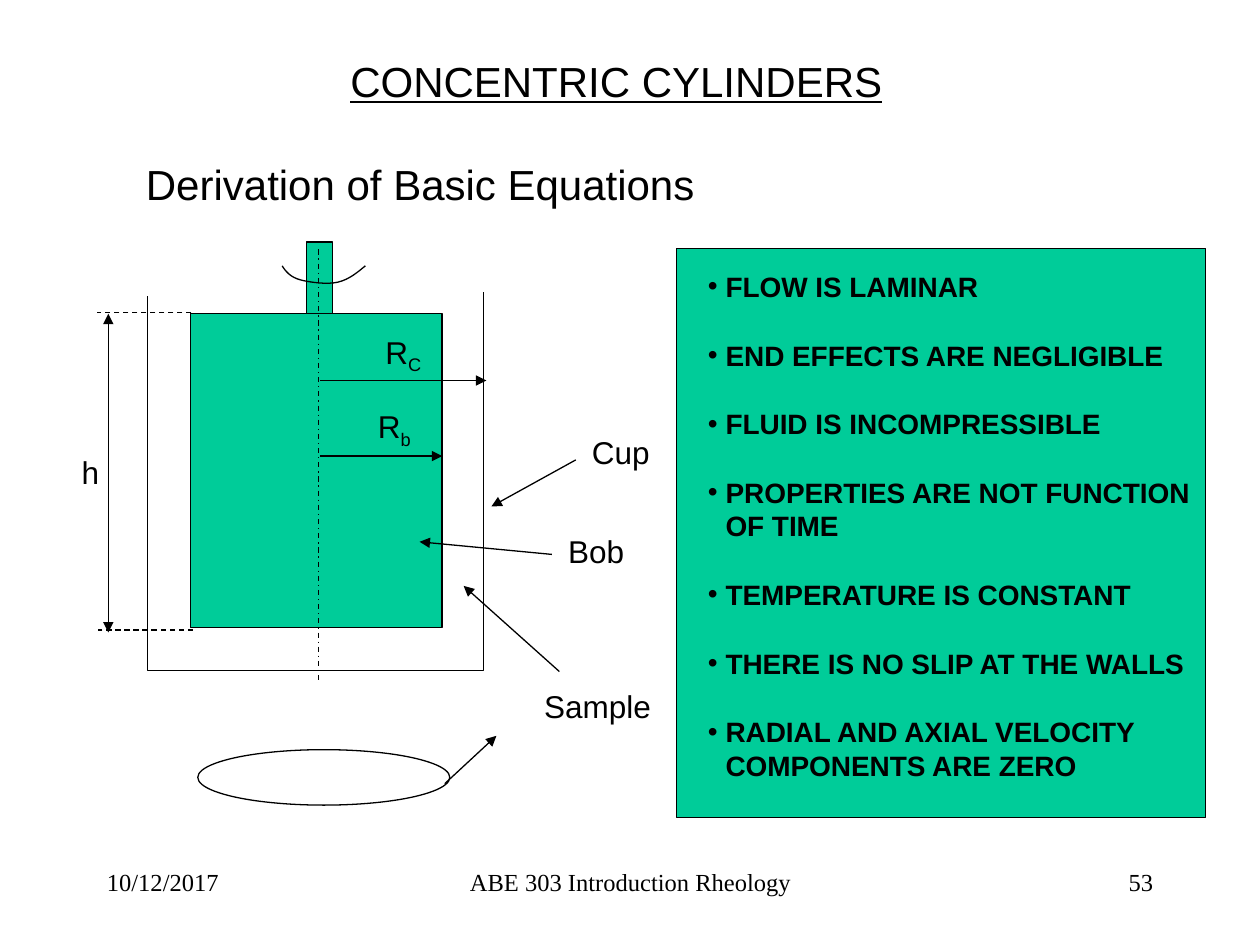
"""Build the concentric cylinders slide: bob and cup diagram beside a panel of assumptions."""
import dataclasses

import pptx
import pptx.dml.color
import pptx.enum.dml
import pptx.enum.shapes
import pptx.enum.text
import pptx.oxml.ns
import pptx.util
from lxml import etree

SHAPE = pptx.enum.shapes.MSO_SHAPE
DASH = pptx.enum.dml.MSO_LINE
ALIGN = pptx.enum.text.PP_ALIGN
COLS, ROWS = 100, 75


@dataclasses.dataclass(frozen=True)
class Theme:
    ink: str = "000000"
    fill: str = "00CC99"
    sans: str = "Arial"
    serif: str = "Times New Roman"
    heading: int = 24
    label: int = 18
    bullet: int = 16
    footer: int = 14
    line: float = 0.75
    gap: float = 20
    hang: float = 0.14


THEME = Theme()

TITLE = ("CONCENTRIC CYLINDERS", (26.8, 3.9, 44.3, 5))
SUBTITLE = ("Derivation of Basic Equations", (10.6, 12.1, 45.6, 5))
FOOTERS = [
    ("10/12/2017", (7.5, 68.3, 20.8, 5), ALIGN.LEFT),
    ("ABE 303 Introduction Rheology", (34.2, 68.3, 31.7, 5), ALIGN.CENTER),
    ("53", (71.7, 68.3, 20.8, 5), ALIGN.RIGHT),
]
ASSUMPTIONS = [
    "FLOW IS LAMINAR",
    "END EFFECTS ARE NEGLIGIBLE",
    "FLUID IS INCOMPRESSIBLE",
    "PROPERTIES ARE NOT FUNCTION\vOF TIME",
    "TEMPERATURE IS CONSTANT",
    "THERE IS NO SLIP AT THE WALLS",
    "RADIAL AND AXIAL VELOCITY\vCOMPONENTS ARE ZERO",
]
ASSUMPTIONS_BOX = (55.2, 20.9, 40.4, 41.4)
LABELS = [
    ("R", "b", (29, 31.8, 4.7, 4)),
    ("R", "C", (29.6, 25.9, 5.7, 4)),
    ("h", "", (5.5, 35.5, 3.4, 4)),
    ("Sample", "", (42.2, 54, 10.5, 4)),
    ("Cup", "", (46, 33.9, 6.6, 4)),
    ("Bob", "", (44.1, 41.7, 6.5, 4)),
]
BODIES = [
    (SHAPE.RECTANGLE, (53.7, 19.7, 42, 45.2), THEME.fill),
    (SHAPE.RECTANGLE, (15.1, 24.9, 20, 24.9), THEME.fill),
    (SHAPE.RECTANGLE, (24.3, 19.2, 2.1, 5.7), THEME.fill),
    (SHAPE.OVAL, (15.7, 59.5, 20, 4.4), None),
]
CUP = [(11.7, 23.5), (11.7, 53.2), (38.4, 53.2), (38.4, 23.2)]
ROTATION = [
    [(22.4, 21.1), (22.7, 21.6), (23.1, 22), (23.8, 22.2)],
    [(23.8, 22.2), (24.5, 22.4), (26, 22.6), (26.8, 22.4)],
    [(26.8, 22.4), (27.7, 22.2), (28.4, 21.6), (29, 21.1)],
]
DASHED = [
    ((25.3, 19.8), (25.3, 54), DASH.DASH_DOT),
    ((15.3, 50), (7.8, 50), DASH.DASH),
    ((15.2, 24.8), (7.7, 24.8), DASH.DASH),
]
ARROWS = [
    ((25.4, 36.2), (35.1, 36.2), ["tailEnd"]),
    ((25.4, 30.2), (38.6, 30.2), ["tailEnd"]),
    ((8.6, 24.9), (8.6, 50.2), ["headEnd", "tailEnd"]),
    ((44.4, 53.3), (36.8, 46.5), ["tailEnd"]),
    ((45.7, 36.5), (39, 40.2), ["tailEnd"]),
    ((43.8, 44), (33.3, 43), ["tailEnd"]),
    ((35.3, 62.2), (39.4, 58.4), ["tailEnd"]),
]

prs = pptx.Presentation()
prs.slide_width, prs.slide_height = pptx.util.Inches(10), pptx.util.Inches(7.5)
s = prs.slides.add_slide(prs.slide_layouts[5])


def grid(*values):
    """Turn alternating columns and rows into slide lengths."""
    units = prs.slide_width / COLS, prs.slide_height / ROWS
    return [round(v * units[i % 2]) for i, v in enumerate(values)]


def color(value):
    return pptx.dml.color.RGBColor.from_string(value)


def child(parent, tag, **attrs):
    return etree.SubElement(parent, pptx.oxml.ns.qn(tag), **attrs)


def write(text, box, sp=None, size=THEME.label, font=THEME.sans, bold=False,
          underline=False, align=ALIGN.LEFT, wrap=False, sub="", bullets=False):
    """Put formatted text, one paragraph per line, in a box on the grid."""
    sp = sp or s.shapes.add_textbox(0, 0, 0, 0)
    sp.left, sp.top, sp.width, sp.height = grid(*box)
    tf = sp.text_frame
    tf.text = text
    tf.auto_size = pptx.enum.text.MSO_AUTO_SIZE.NONE
    tf.word_wrap = wrap
    tf.vertical_anchor = pptx.enum.text.MSO_ANCHOR.TOP
    for i, p in enumerate(tf.paragraphs):
        p.alignment = align
        if bullets:
            p.space_before = pptx.util.Pt(THEME.gap if i else 0)
            hang = pptx.util.Inches(THEME.hang)
            pPr = p._p.get_or_add_pPr()
            pPr.set("marL", str(hang))
            pPr.set("indent", str(-hang))
            child(pPr, "a:buFont", typeface=THEME.sans)
            child(pPr, "a:buChar", char="•")
        if sub:
            r = p.add_run()
            r.text = sub
            r._r.get_or_add_rPr().set("baseline", "-25000")
        for r in p.runs:
            r.font.name, r.font.size = font, pptx.util.Pt(size)
            r.font.bold, r.font.underline = bold, underline
            r.font.color.rgb = color(THEME.ink)
    return tf


def outline(sp):
    sp.line.color.rgb = color(THEME.ink)
    sp.line.width = pptx.util.Pt(THEME.line)


def paint(sp, fill=None):
    sp.shadow.inherit = False
    outline(sp)
    if fill:
        sp.fill.solid()
        sp.fill.fore_color.rgb = color(fill)
    else:
        sp.fill.background()


def path_shape(points):
    first, *rest = [grid(*point) for point in points]
    builder = s.shapes.build_freeform(*first)
    builder.add_line_segments(rest, close=False)
    paint(builder.convert_to_shape())


def bezier(points, t):
    weights = (1 - t) ** 3, 3 * t * (1 - t) ** 2, 3 * t * t * (1 - t), t ** 3
    return tuple(sum(w * v for w, v in zip(weights, axis)) for axis in zip(*points))


def connect(start, end, dash=None, ends=()):
    sp = s.shapes.add_connector(pptx.enum.shapes.MSO_CONNECTOR.STRAIGHT, *grid(*start, *end))
    outline(sp)
    if dash:
        sp.line.dash_style = dash
    for tag in ends:
        child(sp.line._get_or_add_ln(), "a:" + tag, type="triangle")
    child(sp._element.spPr, "a:effectLst")


def main():
    write(*TITLE, sp=s.shapes.title, size=THEME.heading, underline=True)
    write(*SUBTITLE, size=THEME.heading)
    for text, box, align in FOOTERS:
        write(text, box, size=THEME.footer, font=THEME.serif, align=align, wrap=True)
    for kind, box, fill in BODIES:
        paint(s.shapes.add_shape(kind, *grid(*box)), fill)
    path_shape(CUP)
    steps = 8
    path_shape([ROTATION[0][0]] + [bezier(c, k / steps) for c in ROTATION for k in range(1, steps + 1)])
    for start, end, dash in DASHED:
        connect(start, end, dash=dash)
    for start, end, ends in ARROWS:
        connect(start, end, ends=ends)
    for text, sub, box in LABELS:
        write(text, box, sub=sub)
    tf = write("\n".join(ASSUMPTIONS), ASSUMPTIONS_BOX, size=THEME.bullet,
               bold=True, wrap=True, bullets=True)
    tf.margin_right = 0
    prs.save("out.pptx")


if __name__ == "__main__":
    main()
